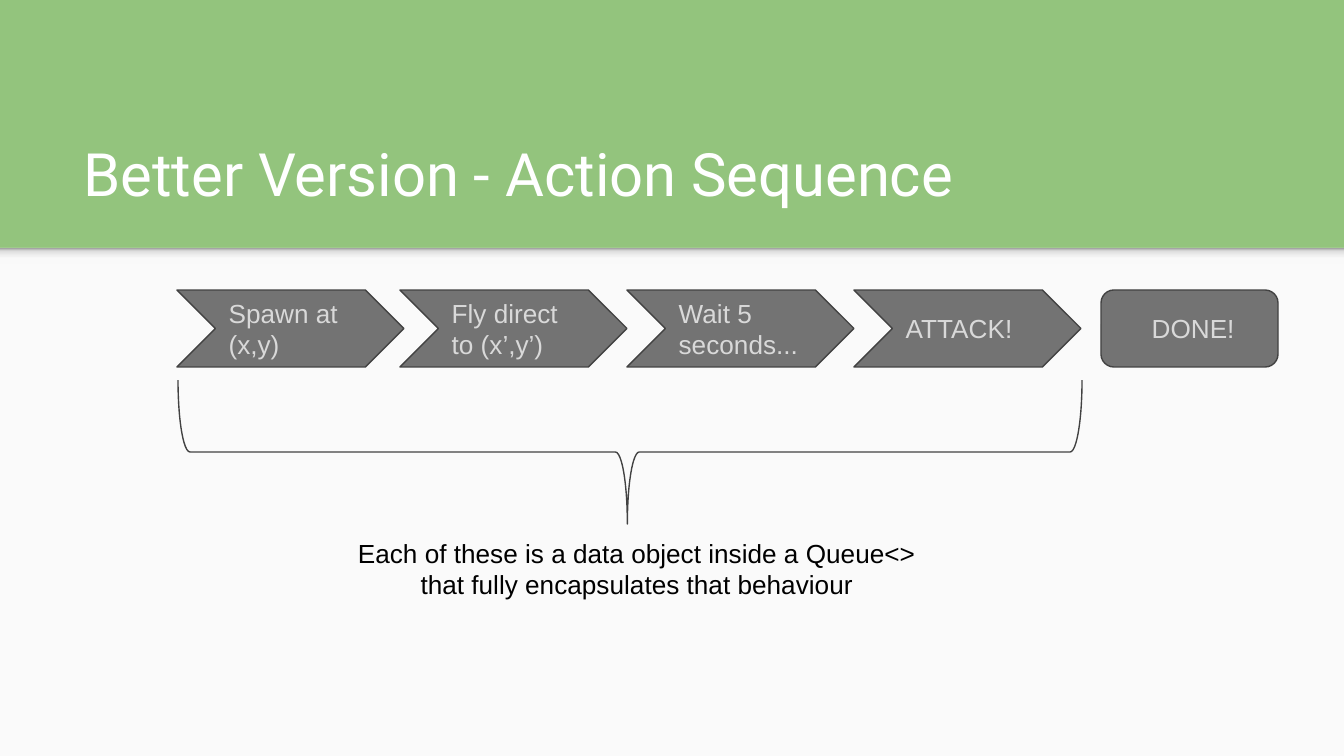
from lxml import etree
from pptx import Presentation
from pptx.dml.color import RGBColor
from pptx.enum.shapes import MSO_SHAPE
from pptx.enum.text import MSO_ANCHOR, PP_ALIGN
from pptx.oxml.ns import qn
from pptx.util import Emu, Pt

RECTANGLE, CHEVRON = MSO_SHAPE.RECTANGLE, MSO_SHAPE.CHEVRON
ROUNDED, BRACE = MSO_SHAPE.ROUNDED_RECTANGLE, MSO_SHAPE.RIGHT_BRACE
TOP, MIDDLE, BOTTOM = MSO_ANCHOR.TOP, MSO_ANCHOR.MIDDLE, MSO_ANCHOR.BOTTOM
LEFT, CENTER = PP_ALIGN.LEFT, PP_ALIGN.CENTER

EMU_PER_PIXEL = 914400 / 134.4
COLORS = {
    "header": "93C47D", "panel": "FAFAFA", "title": "FFFFFF",
    "step": "737373", "outline": "424242", "step_text": "D9D9D9",
    "caption": "000000",
}
SHADOW_STOPS = [(0, "999999"), (20, "DEDEDE"), (64, "F9F9F9"), (100, "F9F9F9")]
TITLE_FONT = {"name": "Roboto", "size": Pt(32)}
BODY_FONT = {"name": "Arial", "size": Pt(14)}
# Left edge of each chevron within the sequence
STEPS = [(0, "Spawn at (x,y)"), (223, "Fly direct to (x’,y’)"),
         (450, "Wait 5 seconds..."), (677, "ATTACK!")]


def px(pixels):
    return Emu(round(pixels * EMU_PER_PIXEL))


def color(name):
    return RGBColor.from_string(COLORS[name])


def write(shape, text, font, color_name, align, anchor):
    frame = shape.text_frame
    margins = dict.fromkeys(
        ("margin_left", "margin_top", "margin_right", "margin_bottom"), Emu(91440))
    for name, value in {"word_wrap": True, "vertical_anchor": anchor, **margins}.items():
        setattr(frame, name, value)
    paragraph = frame.paragraphs[0]
    paragraph.alignment = align
    run = paragraph.add_run()
    run.text = text
    for name, value in font.items():
        setattr(run.font, name, value)
    run.font.color.rgb = color(color_name)


def add_shape(slide, kind, box, fill=None, outline=None, adjustments=()):
    shape = slide.shapes.add_shape(kind, *map(px, box))
    shape.shadow.inherit = False
    for index, value in enumerate(adjustments):
        shape.adjustments[index] = value
    if fill:
        shape.fill.solid()
        shape.fill.fore_color.rgb = color(fill)
    else:
        shape.fill.background()
    if outline:
        shape.line.color.rgb = color(outline)
        shape.line.width = Pt(0.75)
    else:
        shape.line.fill.background()
    return shape


def fade_down(shape, stops):
    shape.fill.gradient()
    gradient = shape.element.spPr.find(qn("a:gradFill"))
    for child in list(gradient):
        gradient.remove(child)
    stop_list = etree.SubElement(gradient, qn("a:gsLst"))
    for position, value in stops:
        stop = etree.SubElement(stop_list, qn("a:gs"), pos=str(position * 1000))
        etree.SubElement(stop, qn("a:srgbClr"), val=value)
    etree.SubElement(gradient, qn("a:lin"), ang="5400000", scaled="0")


def add_backdrop(slide, left, top, width, height):
    slide.background.fill.solid()
    slide.background.fill.fore_color.rgb = color("header")
    add_shape(slide, RECTANGLE, (left, top, width, height), "panel")
    fade_down(add_shape(slide, RECTANGLE, (left, top, width, 16)), SHADOW_STOPS)


def place_title(slide, text, left, top, width, height):
    title = slide.shapes.title
    box = {"left": left, "top": top, "width": width, "height": height}
    for name, value in box.items():
        setattr(title, name, px(value))
    write(title, text, TITLE_FONT, "title", LEFT, BOTTOM)


def add_sequence(slide, left, top, width, height):
    # Chevrons for the queued actions
    for offset, text in STEPS:
        step = add_shape(slide, CHEVRON, (left + offset, top, 227, height),
                         "step", "outline", [0.5])
        write(step, text, BODY_FONT, "step_text", LEFT, MIDDLE)
    # Closing box at the right edge
    done_width = 177
    done = add_shape(slide, ROUNDED, (left + width - done_width, top, done_width, height),
                     "step", "outline", [0.167])
    write(done, " DONE!", BODY_FONT, "step_text", CENTER, MIDDLE)


def add_explanation(slide, left, top, width, height):
    # Brace drawn upright about its centre, then turned to point down
    depth = 144
    box = (left + (width - depth) / 2, top + (depth - width) / 2, depth, width)
    brace = add_shape(slide, BRACE, box, None, "outline", [0.083, 0.503])
    brace.rotation = 90
    # Caption below the brace tip
    caption_height = 98
    caption = slide.shapes.add_textbox(
        *map(px, (left + 154, top + height - caption_height, 610, caption_height)))
    write(caption, "Each of these is a data object inside a Queue<> "
          "that fully encapsulates that behaviour", BODY_FONT, "caption", CENTER, TOP)


presentation = Presentation()
presentation.slide_width, presentation.slide_height = px(1344), px(756)
slide = presentation.slides.add_slide(presentation.slide_layouts[5])
add_backdrop(slide, 0, 248, 1344, 508)
place_title(slide, "Better Version - Action Sequence", 70, 109, 1208, 113)
add_sequence(slide, 177, 290, 1101, 77)
add_explanation(slide, 178, 380, 904, 242)
presentation.save("out.pptx")
